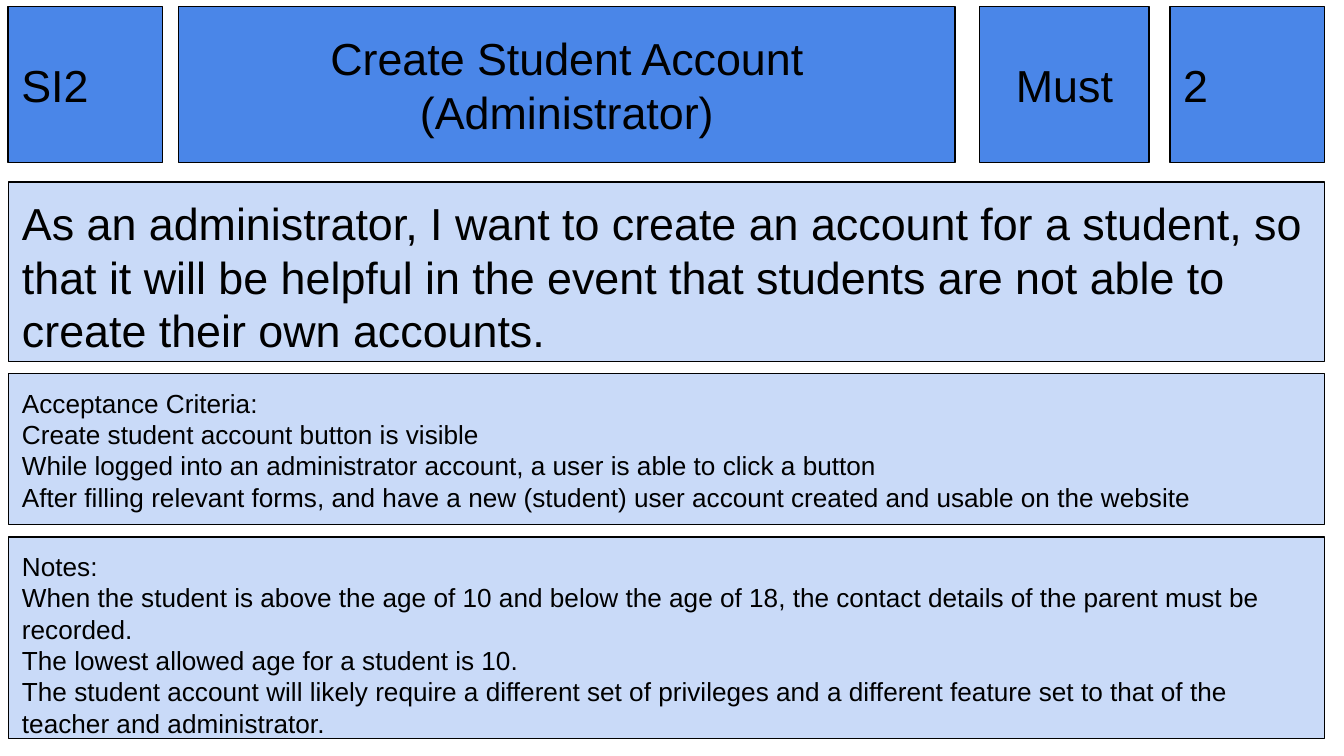
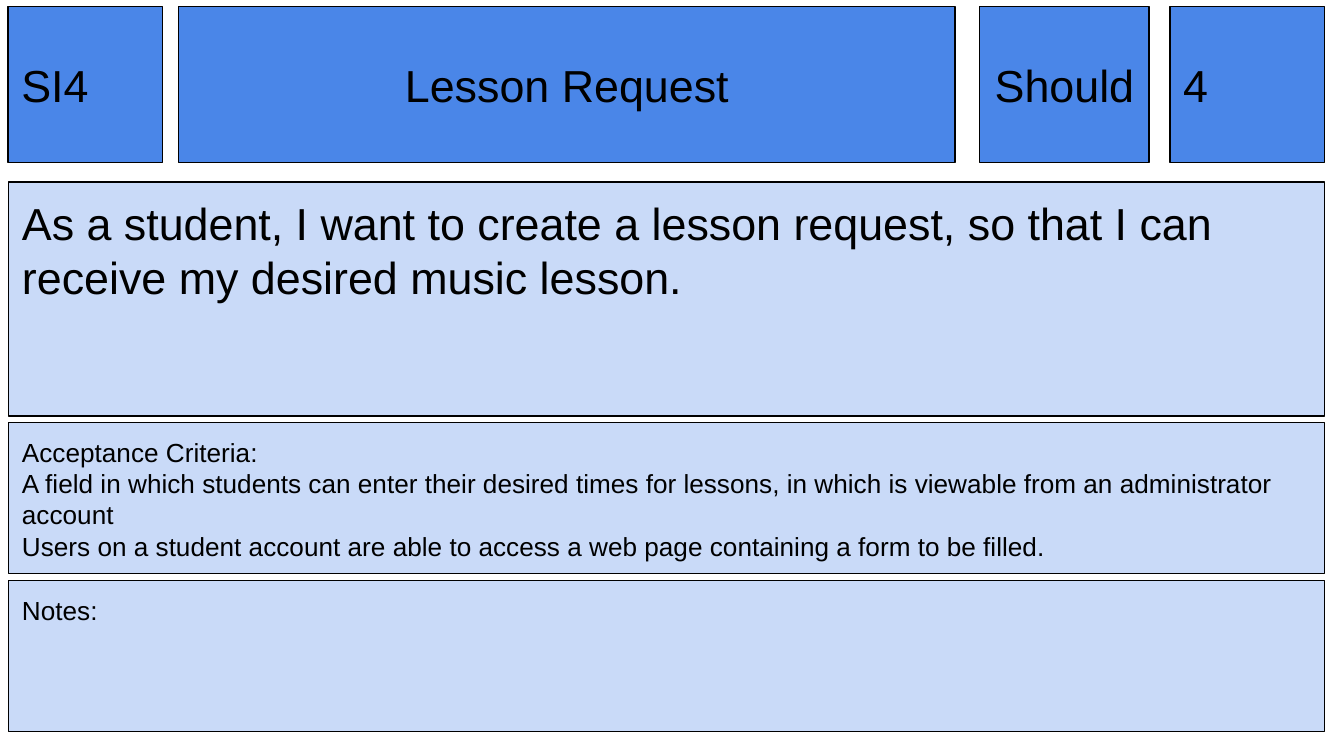
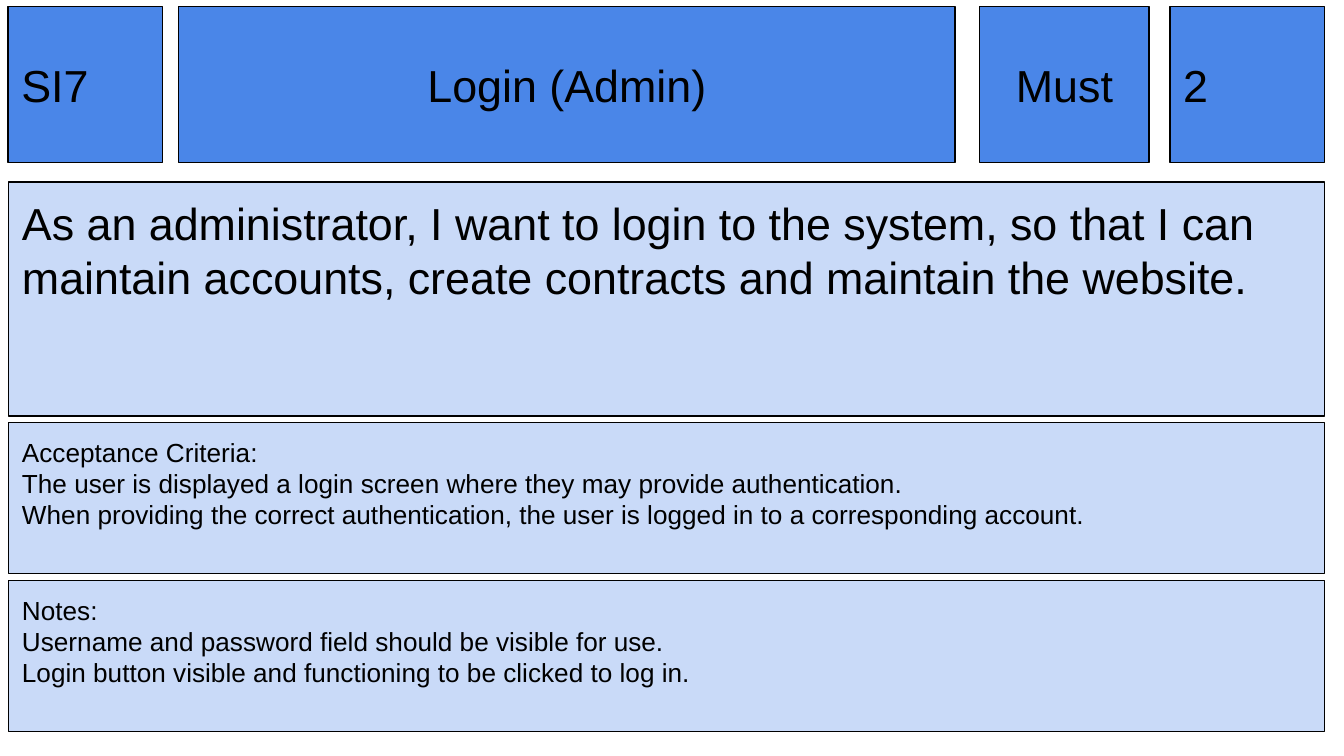
"""Build three user story cards with a header row and stacked detail panels."""
from pptx import Presentation
from pptx.dml.color import RGBColor
from pptx.enum.shapes import MSO_SHAPE
from pptx.enum.text import MSO_ANCHOR, PP_ALIGN
from pptx.util import Emu, Pt

RECTANGLE = MSO_SHAPE.RECTANGLE
TOP, MIDDLE = MSO_ANCHOR.TOP, MSO_ANCHOR.MIDDLE
LEFT, CENTER = PP_ALIGN.LEFT, PP_ALIGN.CENTER
PX = 4572
COLORS = {"header": "4A86E8", "panel": "C9DAF8", "ink": "000000"}
FONT = "Arial"
INSET = 20
HEADER_TOP, HEADER_HEIGHT = 10, 232
HEADER_CELLS = [(12, 230, LEFT), (266, 1155, CENTER), (1458, 252, CENTER), (1741, 230, LEFT)]
PANEL_LEFT, PANEL_WIDTH = 13, 1958
PANEL_SIZES = [24, 14, 14]
TALL_NOTES = [(271, 267), (556, 225), (799, 300)]
TALL_STORY = [(271, 348), (629, 225), (864, 225)]

STORIES = [
    {
        "header": ["SI2", "Create Student Account (Administrator)", "Must", "2"],
        "rows": TALL_NOTES,
        "panels": [
            "As an administrator, I want to create an account for a student, so that it will be "
            "helpful in the event that students are not able to create their own accounts.",
            "Acceptance Criteria:\n"
            "Create student account button is visible\n"
            "While logged into an administrator account, a user is able to click a button\n"
            "After filling relevant forms, and have a new (student) user account created and "
            "usable on the website",
            "Notes:\n"
            "When the student is above the age of 10 and below the age of 18, the contact details "
            "of the parent must be recorded.\n"
            "The lowest allowed age for a student is 10.\n"
            "The student account will likely require a different set of privileges and a different "
            "feature set to that of the teacher and administrator.",
        ],
    },
    {
        "header": ["SI4", "Lesson Request", "Should", "4"],
        "rows": TALL_STORY,
        "panels": [
            "As a student, I want to create a lesson request, so that I can receive my desired "
            "music lesson.",
            "Acceptance Criteria:\n"
            "A field in which students can enter their desired times for lessons, in which is "
            "viewable from an administrator account\n"
            "Users on a student account are able to access a web page containing a form to be "
            "filled.",
            "Notes:",
        ],
    },
    {
        "header": ["SI7", "Login (Admin)", "Must", "2"],
        "rows": TALL_STORY,
        "panels": [
            "As an administrator, I want to login to the system, so that I can maintain accounts, "
            "create contracts and maintain the website.",
            "Acceptance Criteria:\n"
            "The user is displayed a login screen where they may provide authentication.\n"
            "When providing the correct authentication, the user is logged in to a corresponding "
            "account.",
            "Notes:\n"
            "Username and password field should be visible for use.\n"
            "Login button visible and functioning to be clicked to log in.",
        ],
    },
]


def add_card(page, text, *, left, top, width, height, fill, size=24, align=LEFT, anchor=TOP):
    box = page.shapes.add_shape(RECTANGLE, *(Emu(n * PX) for n in (left, top, width, height)))
    box.shadow.inherit = False
    box.fill.solid()
    box.fill.fore_color.rgb = RGBColor.from_string(COLORS[fill])
    box.line.color.rgb = RGBColor.from_string(COLORS["ink"])
    box.line.width = Pt(0.75)
    frame = box.text_frame
    frame.word_wrap = True
    frame.vertical_anchor = anchor
    frame.margin_left = frame.margin_right = Emu(INSET * PX)
    frame.margin_top = frame.margin_bottom = Emu(INSET * PX)
    frame.text = text
    for para in frame.paragraphs:
        para.alignment = align
        for span in para.runs:
            span.font.name = FONT
            span.font.size = Pt(size)
            span.font.color.rgb = RGBColor.from_string(COLORS["ink"])


deck = Presentation()
deck.slide_width, deck.slide_height = Emu(2000 * PX), Emu(1125 * PX)

for story in STORIES:
    page = deck.slides.add_slide(deck.slide_layouts[6])
    for text, (left, width, align) in zip(story["header"], HEADER_CELLS):
        add_card(page, text, left=left, top=HEADER_TOP, width=width, height=HEADER_HEIGHT,
                 fill="header", align=align, anchor=MIDDLE)
    for text, (top, height), size in zip(story["panels"], story["rows"], PANEL_SIZES):
        add_card(page, text, left=PANEL_LEFT, top=top, width=PANEL_WIDTH, height=height,
                 fill="panel", size=size)

deck.save("out.pptx")
